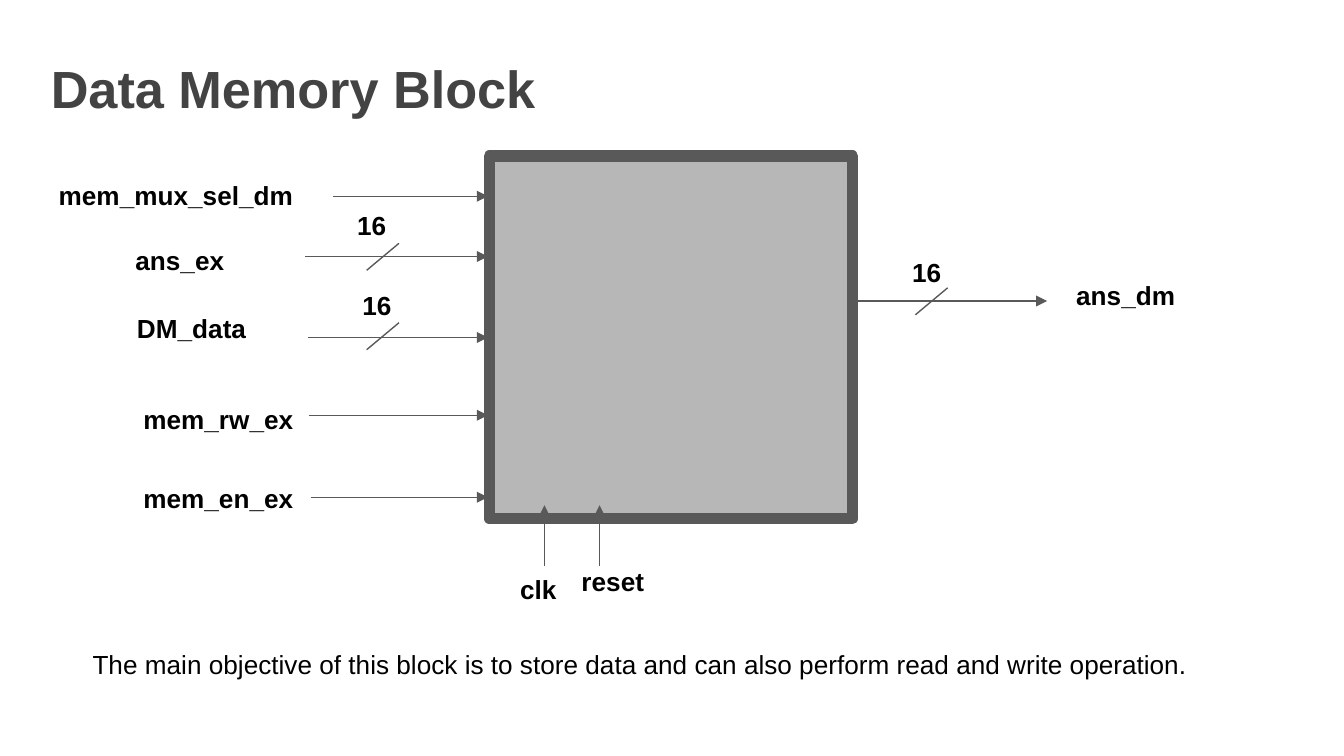
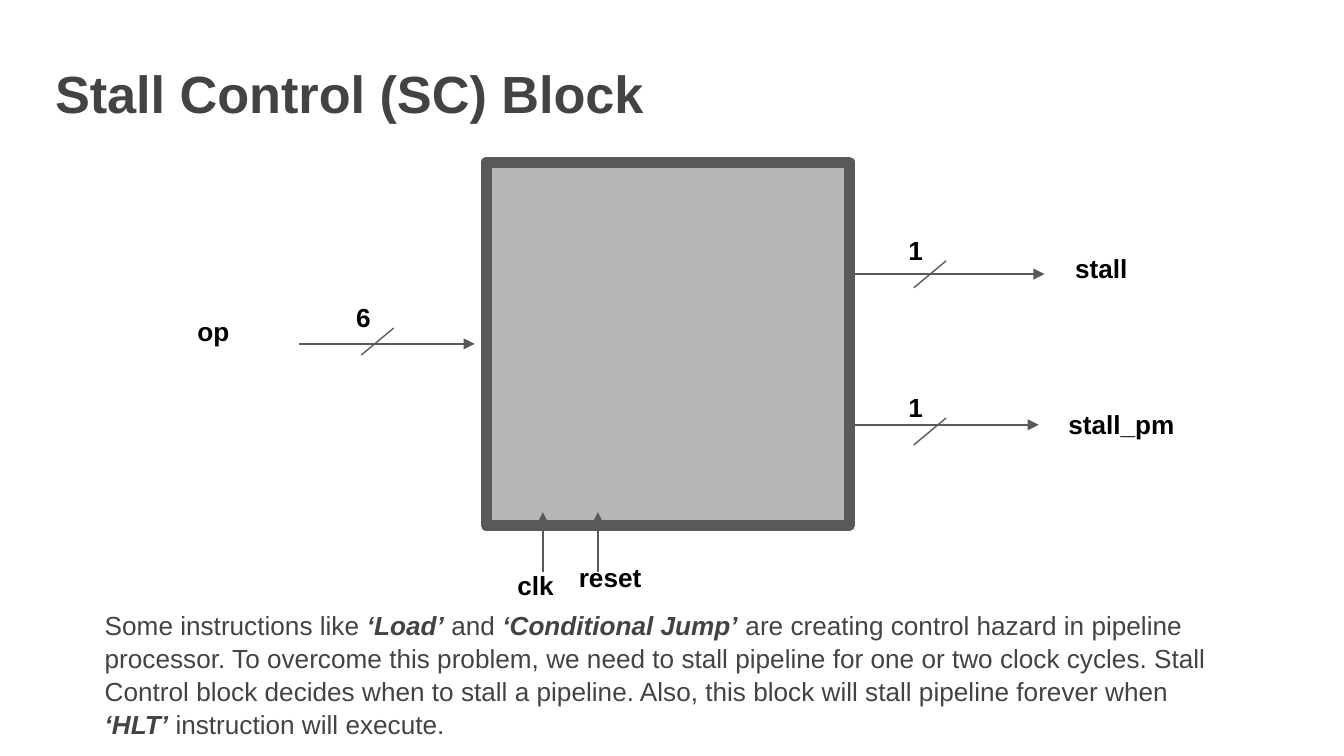
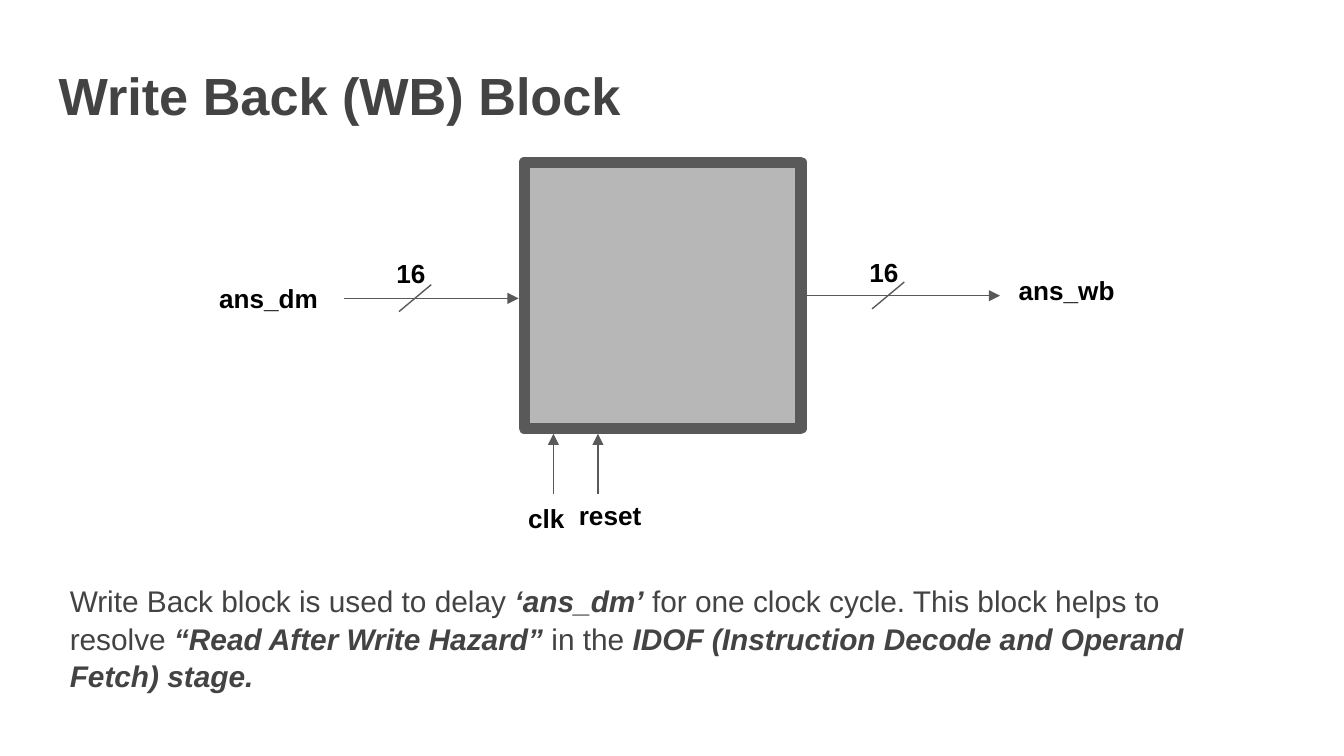
from lxml import etree
from pptx import Presentation
from pptx import util as u
from pptx.dml.color import RGBColor
from pptx.enum import shapes, text
from pptx.oxml import ns

FONT = "Arial"
BLACK = RGBColor(0x00, 0x00, 0x00)
INK = RGBColor(0x43, 0x43, 0x43)
EDGE = RGBColor(0x59, 0x59, 0x59)
FILL = RGBColor(0xB7, 0xB7, 0xB7)
TOP = text.MSO_ANCHOR.TOP
MIDDLE = text.MSO_ANCHOR.MIDDLE
SLASH_W, SLASH_H = 0.61, 0.51
PIN_LEN = 1.14


def cms(*vals):
    return [u.Cm(v) for v in vals]


def write(shape, words, size=14, color=BLACK, bold=False, anchor=TOP, space=1.0):
    frame = shape.text_frame
    frame.word_wrap = True
    frame.auto_size = text.MSO_AUTO_SIZE.NONE
    frame.vertical_anchor = anchor
    frame.margin_left = frame.margin_right = u.Cm(0.25)
    frame.margin_top = frame.margin_bottom = u.Cm(0.25)
    for row, line in enumerate(words.split("\n")):
        para = frame.add_paragraph() if row else frame.paragraphs[0]
        para.alignment = text.PP_ALIGN.LEFT
        para.line_spacing = space
        for part, chunk in enumerate(line.split("*")):
            if not chunk:
                continue
            run = para.add_run()
            run.text = chunk
            stress = part % 2 == 1
            font = run.font
            font.name, font.size = FONT, u.Pt(size)
            font.bold, font.italic = bold or stress, stress
            font.color.rgb = color


def label(slide, words, x, y, w=3.66, h=0.69, bold=True, **style):
    box = slide.shapes.add_textbox(*cms(x, y, w, h))
    write(box, words, bold=bold, **style)


def prose(slide, words, x, y, w, h, **style):
    label(slide, words, x, y, w, h, bold=False, color=INK,
          anchor=MIDDLE, space=1.05, **style)


def start(deck, title, x, y):
    slide = deck.slides.add_slide(deck.slide_layouts[5])
    head = slide.shapes.title
    head.left, head.top, head.width, head.height = cms(x, y, 23.67, 1.6)
    write(head, title, size=28, color=INK, bold=True)
    return slide


def block(slide, x, y, w=6.86, h=6.86):
    box = slide.shapes.add_shape(shapes.MSO_SHAPE.RECTANGLE, *cms(x, y, w, h))
    box.shadow.inherit = False
    box.fill.solid()
    box.fill.fore_color.rgb = FILL
    box.line.color.rgb = EDGE
    box.line.width = u.Pt(6)
    etree.SubElement(box._element.spPr.find(ns.qn("a:ln")), ns.qn("a:round"))


def wire(slide, x1, y1, x2, y2, arrow=True):
    line = slide.shapes.add_connector(
        shapes.MSO_CONNECTOR.STRAIGHT, *cms(x1, y1, x2, y2))
    line.line.color.rgb = EDGE
    line.line.width = u.Pt(0.75)
    props = line._element.spPr
    if arrow:
        etree.SubElement(props.find(ns.qn("a:ln")), ns.qn("a:tailEnd"), type="triangle")
    etree.SubElement(props, ns.qn("a:effectLst"))


def width(slide, bits, x, y, num_x, num_y):
    wire(slide, x + SLASH_W, y, x, y + SLASH_H, arrow=False)
    label(slide, bits, num_x, num_y, 1.22, 1.02)


def pins(slide, clk_x, reset_x, y, clk_at, reset_at, reset_h=0.3):
    for x in (clk_x, reset_x):
        wire(slide, x, y + PIN_LEN, x, y)
    label(slide, "clk", *clk_at, w=1.45)
    label(slide, "reset", *reset_at, w=2.44, h=reset_h)


def memory(deck):
    slide = start(deck, "Data Memory Block", 0.71, 0.81)
    block(slide, 9.25, 2.95)
    for x, y in ((6.3, 3.71), (5.77, 4.85), (5.82, 6.38), (5.84, 7.85), (5.87, 9.4)):
        wire(slide, x, y, 9.22, y)
    wire(slide, 16.13, 5.69, 19.79, 5.69)
    pins(slide, 10.29, 11.33, 9.55, (9.58, 10.59), (10.74, 10.54))
    label(slide, "mem_mux_sel_dm", 0.86, 3.15, w=5.23)
    for name, x, y in (("ans_ex", 2.31, 4.37), ("DM_data", 2.34, 5.66),
                       ("mem_rw_ex", 2.46, 7.37), ("mem_en_ex", 2.46, 8.86)):
        label(slide, name, x, y)
    label(slide, "ans_dm", 20.09, 5.03, 2.44, 1.02)
    width(slide, "16", 6.93, 4.6, 6.5, 3.71)
    width(slide, "16", 6.93, 6.1, 6.6, 5.23)
    width(slide, "16", 17.3, 5.44, 16.99, 4.6)
    label(slide, "The main objective of this block is to store data and can also "
          "perform read and write operation.", 1.5, 12.01, 22.56, 1.93, bold=False)


def stall(deck):
    slide = start(deck, "Stall Control (SC) Block", 0.79, 0.91)
    block(slide, 9.19, 3.07)
    wire(slide, 5.66, 6.5, 8.97, 6.5)
    wire(slide, 16.1, 5.18, 19.74, 5.18)
    wire(slide, 16.15, 8.03, 19.63, 8.03)
    pins(slide, 10.26, 11.3, 9.68, (9.53, 10.52), (10.69, 10.46))
    label(slide, "op", 3.48, 5.72, w=1.93)
    label(slide, "stall", 20.07, 4.52, 2.44, 1.02)
    label(slide, "stall_pm", 19.94, 7.21, h=1.6, anchor=MIDDLE)
    width(slide, "6", 6.83, 6.2, 6.48, 5.44)
    width(slide, "1", 17.27, 4.93, 16.92, 4.19)
    width(slide, "1", 17.27, 7.9, 16.92, 7.14)
    prose(slide, "Some instructions like *‘Load’* and *‘Conditional Jump’* are "
          "creating control hazard in pipeline\n"
          "processor. To overcome this problem, we need to stall pipeline for "
          "one or two clock cycles. Stall\n"
          "Control block decides when to stall a pipeline. Also, this block will "
          "stall pipeline forever when\n"
          "*‘HLT’* instruction will execute.", 1.73, 11.4, 21.95, 2.67)


def back(deck):
    slide = start(deck, "Write Back (WB) Block", 0.86, 0.94)
    block(slide, 9.91, 3.07, 5.23, 5.03)
    wire(slide, 6.5, 5.64, 9.8, 5.64)
    wire(slide, 15.24, 5.59, 18.9, 5.59)
    pins(slide, 10.46, 11.3, 8.2, (9.73, 9.25), (10.69, 9.19), reset_h=1.14)
    label(slide, "ans_dm", 3.89, 5.08, w=3)
    label(slide, "ans_wb", 19, 4.93, 2.44, 1.02)
    width(slide, "16", 7.54, 5.38, 7.24, 4.62)
    width(slide, "16", 16.48, 5.33, 16.18, 4.6)
    prose(slide, "Write Back block is used to delay *‘ans_dm’* for one clock cycle. "
          "This block helps to resolve *“Read After Write Hazard”* in the* IDOF "
          "(Instruction Decode and Operand Fetch) stage.*",
          1.07, 10.59, 22.91, 2.92, size=16)


def main():
    deck = Presentation()
    deck.slide_width, deck.slide_height = cms(25.4, 14.29)
    memory(deck)
    stall(deck)
    back(deck)
    deck.save("out.pptx")


if __name__ == "__main__":
    main()
